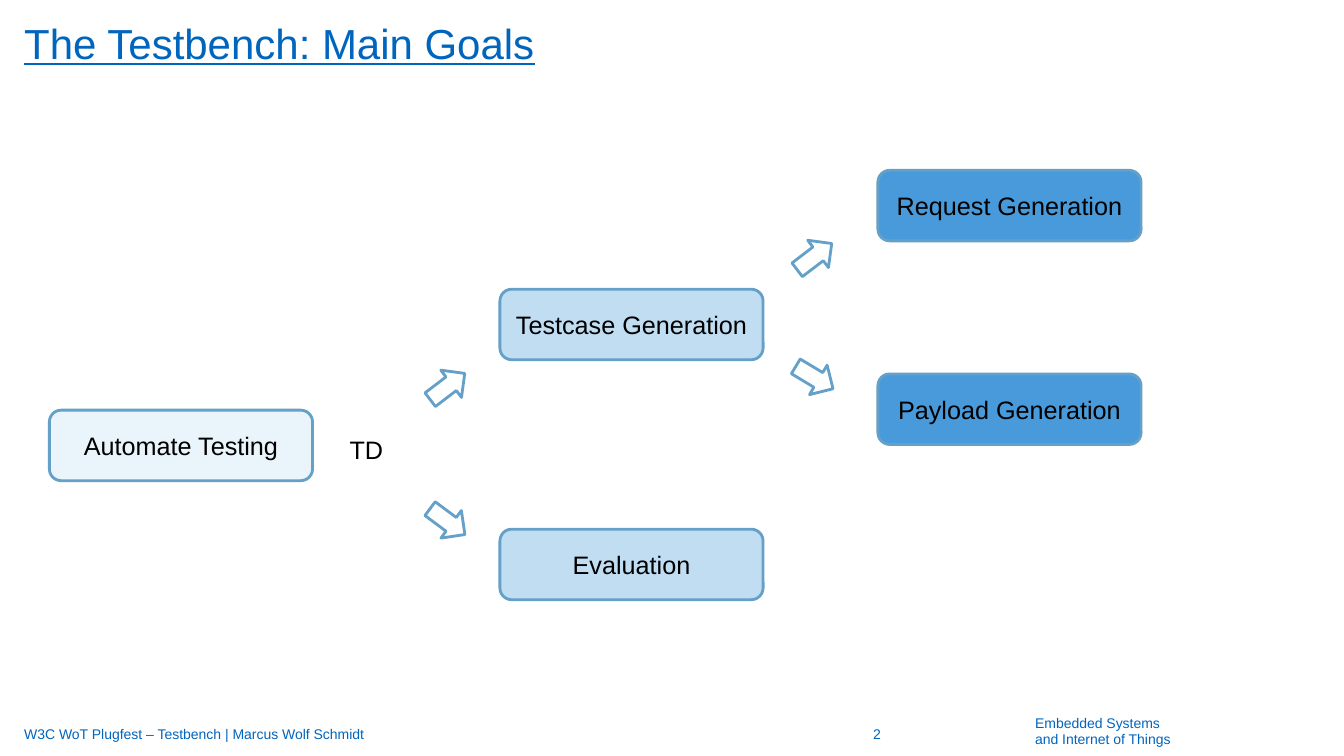
"""Build the slide on the main goals of the testbench."""
from pptx import Presentation
from pptx.dml.color import RGBColor
from pptx.enum.shapes import MSO_SHAPE as Shape
from pptx.enum.text import MSO_ANCHOR as Anchor, PP_ALIGN as Align
from pptx.util import Pt

BLUE, BLACK, EDGE = "0065BD", "000000", "64A0C8"
LEFT = 17.3
BOX_W, BOX_H = 188, 50.4
ARROW_W, ARROW_H = 24.5, 31

COLUMNS = [
    (35.3, "EAF4FB", [("Automate Testing", 293)]),
    (357.1, "C1DDF2", [("Testcase Generation", 206.6), ("Evaluation", 378)]),
    (627.1, "489ADA", [("Request Generation", 121.7), ("Payload Generation", 267.1)]),
]
ARROWS = [
    (307.4, 260.6, 232.7),
    (307.4, 357.1, 306.6),
    (569.5, 167.8, 232.7),
    (569.5, 254.2, 301),
]
FOOT = [
    ("W3C WoT Plugfest – Testbench | Marcus Wolf Schmidt", LEFT, 548.6, Align.LEFT),
    ("2", 581.8, 89.3, Align.CENTER),
]


def color(code):
    return RGBColor.from_string(code)


def write(frame, lines, size, ink, align=Align.LEFT, lead=None, after=None):
    frame.word_wrap = True
    for i, line in enumerate(lines):
        para = frame.paragraphs[0] if i == 0 else frame.add_paragraph()
        para.text = line
        para.alignment = align
        para.line_spacing = lead
        para.space_after = after
        para.font.name = "Arial"
        para.font.size = Pt(size)
        para.font.color.rgb = color(ink)


def label(slide, area, lines, size, ink, pad=(0, 0), mid=False, **style):
    frame = slide.shapes.add_textbox(*map(Pt, area)).text_frame
    frame.margin_left = frame.margin_right = Pt(pad[0])
    frame.margin_top = frame.margin_bottom = Pt(pad[1])
    frame.vertical_anchor = Anchor.MIDDLE if mid else Anchor.TOP
    write(frame, lines, size, ink, **style)
    return frame


def draw(slide, kind, area, fill):
    shape = slide.shapes.add_shape(kind, *map(Pt, area))
    shape.shadow.inherit = False
    shape.fill.solid()
    shape.fill.fore_color.rgb = color(fill)
    shape.line.color.rgb = color(EDGE)
    shape.line.width = Pt(2)
    return shape


def main():
    deck = Presentation()
    deck.slide_width, deck.slide_height = Pt(960), Pt(540)
    slide = deck.slides.add_slide(deck.slide_layouts[6])

    title = label(slide, (LEFT, 16.6, 893.5, 32.4), ["The Testbench: Main Goals"],
                  30, BLUE, lead=Pt(32))
    title.paragraphs[0].font.underline = True

    for x, fill, boxes in COLUMNS:
        for text, y in boxes:
            box = draw(slide, Shape.ROUNDED_RECTANGLE, (x, y, BOX_W, BOX_H), fill)
            box.text_frame.vertical_anchor = Anchor.MIDDLE
            write(box.text_frame, [text], 18, BLACK, Align.CENTER)

    for x, y, turn in ARROWS:
        arrow = draw(slide, Shape.DOWN_ARROW, (x, y, ARROW_W, ARROW_H), "FFFFFF")
        arrow.rotation = turn

    label(slide, (242.6, 306.7, 41.8, 29), ["TD"], 18, BLACK, pad=(7.2, 3.6))

    for text, x, width, align in FOOT:
        label(slide, (x, 509.8, width, 28.8), [text], 10, BLUE, pad=(0, 3.6),
              mid=True, align=align, after=Pt(6))
    label(slide, (739.4, 511.2, 155.5, 23), ["Embedded Systems", "and Internet of Things"],
          10, BLUE, lead=0.94)

    deck.save("out.pptx")


if __name__ == "__main__":
    main()
